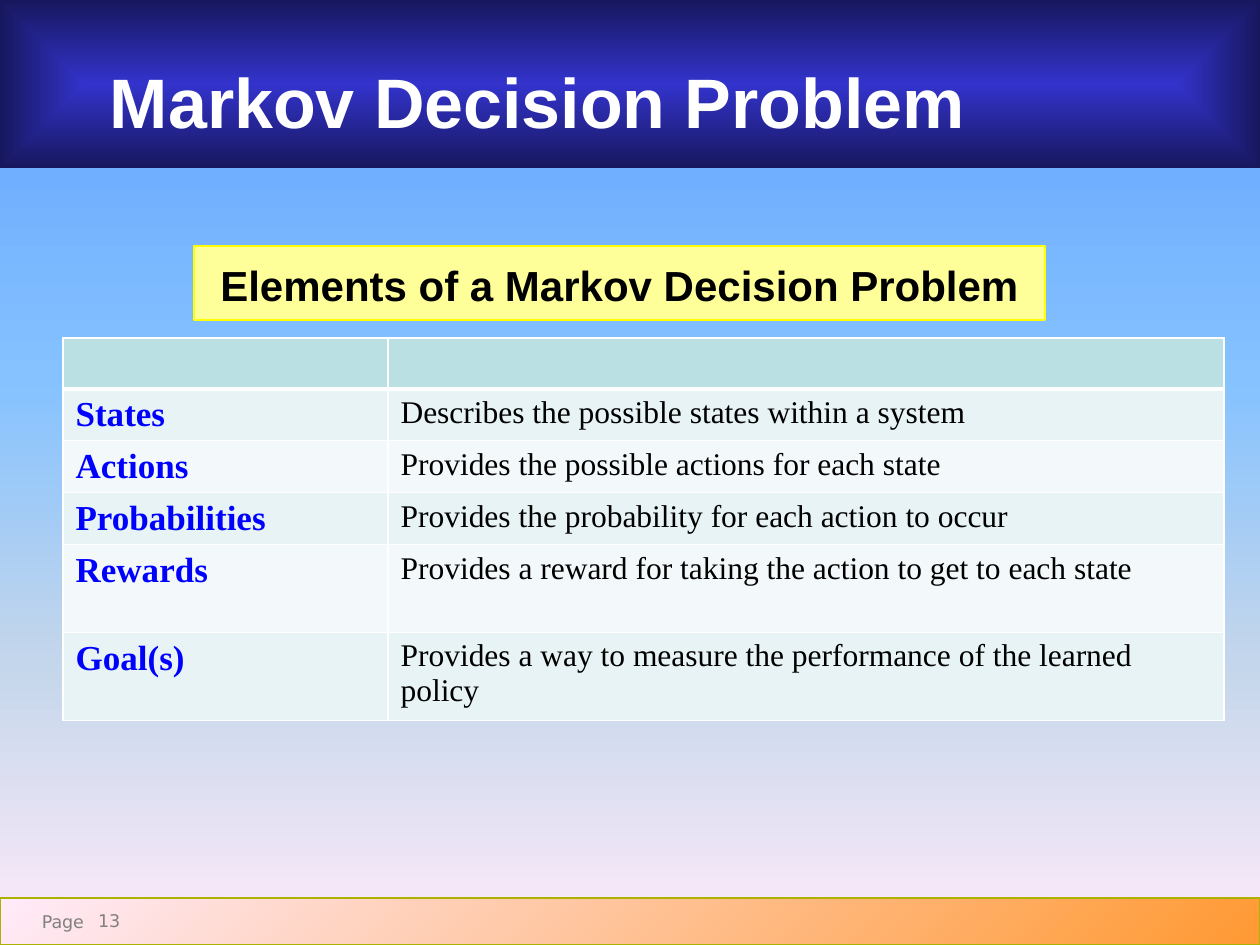
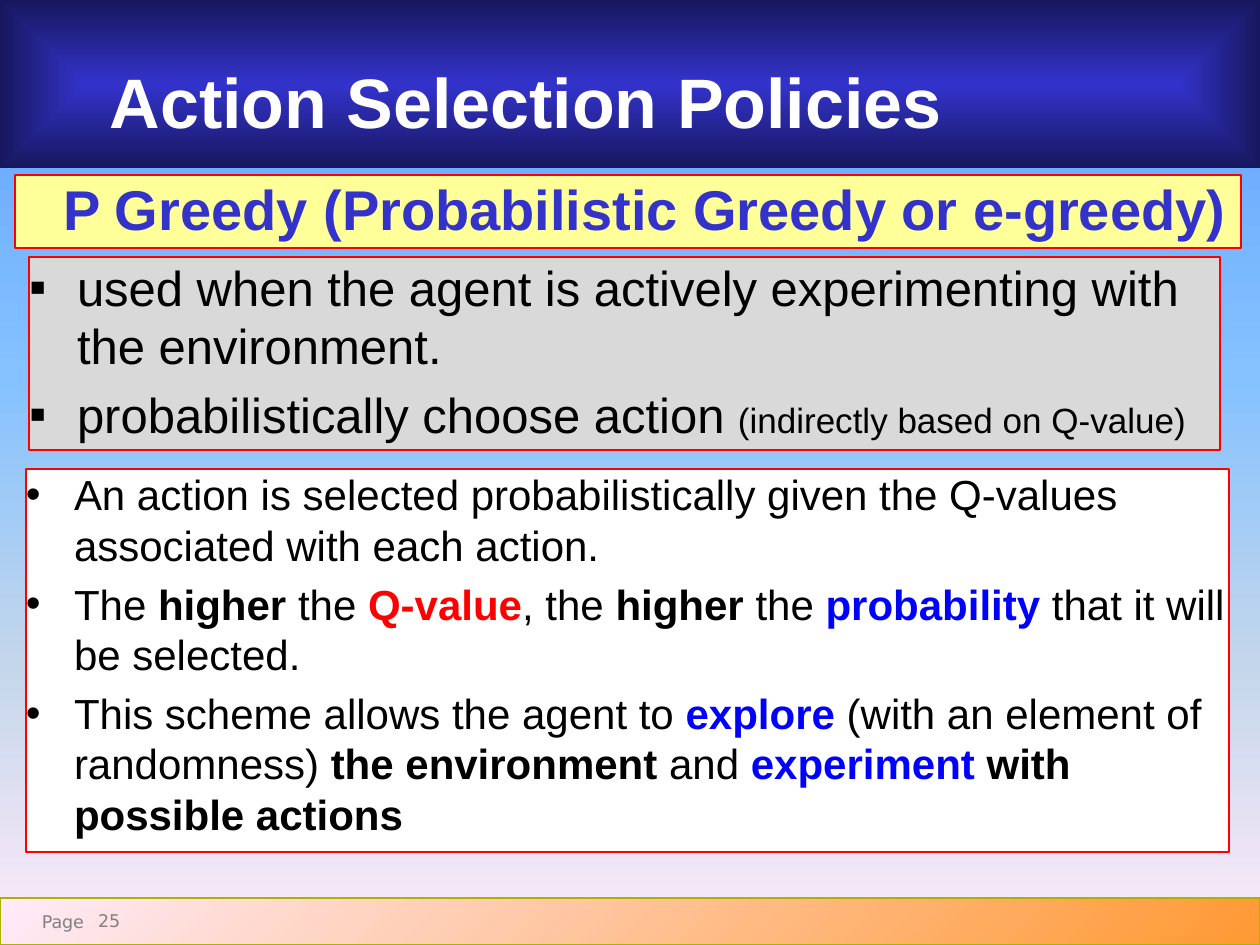
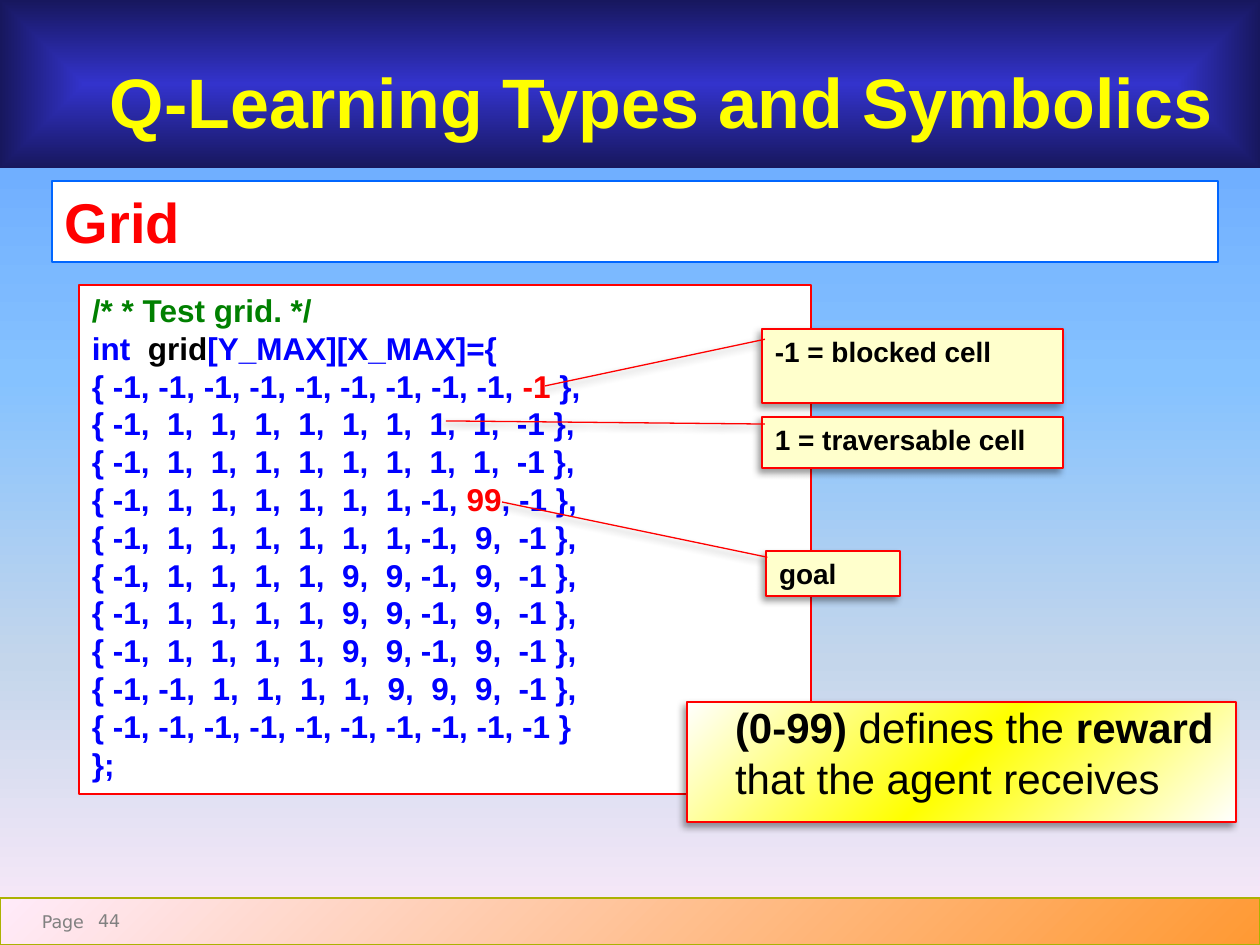
from dataclasses import dataclass

from lxml import etree
from pptx import Presentation
from pptx.dml.color import RGBColor
from pptx.enum.shapes import MSO_SHAPE
from pptx.enum.text import MSO_ANCHOR, MSO_AUTO_SIZE, PP_ALIGN
from pptx.oxml import parse_xml
from pptx.oxml.ns import nsdecls, qn
from pptx.util import Emu, Pt

SCALE = 914400 / 126  # EMU in one px


@dataclass(frozen=True)
class Theme:
    font: str = "Arial"
    table_font: str = "Times New Roman"
    footer_font: str = "DejaVu Sans"
    title: int = 40
    heading: int = 32
    lead: int = 28
    body: int = 24
    term: int = 20
    code: int = 18
    note: int = 16
    footer: int = 10
    black: str = "000000"
    white: str = "FFFFFF"
    red: str = "FF0000"
    blue: str = "0000FF"
    green: str = "008000"
    yellow: str = "FFFF00"
    indigo: str = "3333CC"
    azure: str = "0066FF"
    grey: str = "D9D9D9"
    footer_text: str = "808080"
    footer_line: str = "ABB202"
    pale_yellow: str = "FFFF99"
    cream: str = "FFFFCC"
    table_head: str = "BBE0E3"
    table_bands: tuple = ("E7F3F4", "F3F9FA")
    banner: tuple = ((0, "3333CC"), (100, "17175E"))
    sky: tuple = ((0, "5E9EFF"), (40, "85C2FF"), (70, "C4D6EB"), (100, "FFEBFA"))
    sunset: tuple = ((0, "FFEBFA"), (100, "FF9933"))
    glow: tuple = ((0, "FFFFFF"), (50, "FFFF00"), (100, "FFFFFF"))


T = Theme()
INDENT = 48
PADDING = (13, 6, 13, 6)


def px(n):
    return Emu(round(n * SCALE))


# ---- fills, lines and shadows ----
def gradient(fill, holder, stops, angle=None):
    """Give holder a linear gradient, or one from its centre if angle is None."""
    fill.solid()
    xml = "".join(
        f'<a:gs pos="{pos * 1000}"><a:srgbClr val="{color}"/></a:gs>' for pos, color in stops)
    if angle is None:
        way = ('<a:path path="shape"><a:fillToRect l="50000" t="50000" r="50000" '
               'b="50000"/></a:path>')
    else:
        way = f'<a:lin ang="{angle * 60000}" scaled="1"/>'
    new = parse_xml(f'<a:gradFill {nsdecls("a")} rotWithShape="1"><a:gsLst>{xml}</a:gsLst>'
                    f'{way}</a:gradFill>')
    holder.replace(holder.find(qn("a:solidFill")), new)


def paint(s, fill, line=None, angle=45):
    if isinstance(fill, str):
        s.fill.solid()
        s.fill.fore_color.rgb = RGBColor.from_string(fill)
    else:
        gradient(s.fill, s.element.spPr, fill, angle)
    if line:
        s.line.color.rgb = RGBColor.from_string(line)
        s.line.width = Pt(0.75)
    else:
        s.line.fill.background()


def add_shadow(s):
    s.element.spPr.remove(s.element.spPr.find(qn("a:effectLst")))
    s.element.spPr.append(parse_xml(
        f'<a:effectLst {nsdecls("a")}><a:outerShdw blurRad="50800" dist="38100" '
        'dir="8100000" algn="tr" rotWithShape="0"><a:srgbClr val="000000">'
        '<a:alpha val="40000"/></a:srgbClr></a:outerShdw></a:effectLst>'))


# ---- boxes and text ----
def place(s, box):
    for name, n in zip(("left", "top", "width", "height"), box):
        setattr(s, name, px(n))


def add_box(slide, box, fill, line, kind=MSO_SHAPE.RECTANGLE):
    s = slide.shapes.add_shape(kind, *map(px, box))
    s.shadow.inherit = False
    paint(s, fill, line)
    return s


def set_frame(tf, insets=(0, 0, 0, 0), anchor=MSO_ANCHOR.TOP, wrap=True):
    left, top, right, bottom = map(px, insets)
    values = dict(margin_left=left, margin_top=top, margin_right=right, margin_bottom=bottom,
                  vertical_anchor=anchor, word_wrap=wrap, auto_size=MSO_AUTO_SIZE.NONE)
    for name, value in values.items():
        setattr(tf, name, value)


def add_run(p, text, size, color=T.black, bold=False, font=T.font):
    r = p.add_run()
    r.text = text
    for name, value in dict(name=font, size=Pt(size), bold=bold).items():
        setattr(r.font, name, value)
    r.font.color.rgb = RGBColor.from_string(color)


def set_bullet(p, bullet, indent):
    pPr = p._p.get_or_add_pPr()
    pPr.set("marL", str(px(indent)))
    pPr.set("indent", str(px(-indent if bullet else 0)))
    if bullet:
        etree.SubElement(pPr, qn("a:buFont")).set("typeface", T.font)
        etree.SubElement(pPr, qn("a:buChar")).set("char", bullet)
    else:
        etree.SubElement(pPr, qn("a:buNone"))


def write(tf, paragraphs, size, bullet=None, indent=0, gap=0, align=PP_ALIGN.LEFT, **look):
    """Fill tf; a paragraph is a string or a list of (text, run format) pairs."""
    for i, runs in enumerate(paragraphs):
        p = tf.paragraphs[0] if i == 0 else tf.add_paragraph()
        set_bullet(p, bullet, indent)
        values = dict(alignment=align, space_before=Pt(gap if i else 0), space_after=Pt(0))
        for name, value in values.items():
            setattr(p, name, value)
        for text, own in [(runs, {})] if isinstance(runs, str) else runs:
            add_run(p, text, **{"size": size, **look, **own})


def add_label(slide, box, text, align=PP_ALIGN.LEFT):
    s = slide.shapes.add_textbox(*map(px, box))
    set_frame(s.text_frame, wrap=False)
    write(s.text_frame, [text], T.footer, align=align, color=T.footer_text, font=T.footer_font)
    return s


# ---- shared parts ----
def build_master(prs, slide):
    """Background, footer band and page label, moved from slide to the master."""
    master = prs.slide_master
    gradient(master.background.fill, master.element.find(".//" + qn("p:bgPr")), T.sky, 90)
    band = add_box(slide, (0, 898, 1260, 47), T.sunset, T.footer_line)
    label = add_label(slide, (35, 911, 49, 21), "Page", PP_ALIGN.RIGHT)
    for s in (band, label):
        master.shapes.element.append(s.element)


def add_page(prs, layout, title, number, color=T.white):
    slide = prs.slides.add_slide(prs.slide_layouts[layout])
    if len(prs.slides) == 1:
        build_master(prs, slide)
    s = slide.shapes.title
    place(s, (0, 0, 1260, 168))
    paint(s, T.banner, angle=None)
    set_frame(s.text_frame, (110, 59, 0, 0))
    write(s.text_frame, [title], T.title, color=color, bold=True)
    add_label(slide, (98, 910, 42, 29), number)
    return slide


# ---- slide 1: table ----
def add_bottom_rule(cell):
    """A heavy white line under a header cell."""
    cell._tc.get_or_add_tcPr().insert(0, parse_xml(
        f'<a:lnB {nsdecls("a")} w="38100"><a:solidFill><a:srgbClr val="{T.white}"/>'
        '</a:solidFill></a:lnB>'))


def add_elements_table(slide, box):
    rows = [
        ("States", "Describes the possible states within a system"),
        ("Actions", "Provides the possible actions for each state"),
        ("Probabilities", "Provides the probability for each action to occur"),
        ("Rewards", "Provides a reward for taking the action to get to each state"),
        ("Goal(s)", "Provides a way to measure the performance of the learned policy"),
    ]
    table = slide.shapes.add_table(len(rows) + 1, 2, *map(px, box)).table
    for column, width in zip(table.columns, (325, box[2] - 325)):
        column.width = px(width)
    for row, height in zip(table.rows, (51, 51, 52, 52, 88, 88)):
        row.height = px(height)
    looks = (dict(size=T.term, color=T.blue, bold=True), dict(size=T.code))
    for i, texts in enumerate([("", "")] + rows):
        for cell, text, look in zip(table.rows[i].cells, texts, looks):
            cell.fill.solid()
            color = T.table_bands[(i - 1) % 2] if i else T.table_head
            cell.fill.fore_color.rgb = RGBColor.from_string(color)
            if text:
                write(cell.text_frame, [text], font=T.table_font, **look)
            else:
                add_bottom_rule(cell)


def elements_slide(prs):
    slide = add_page(prs, 1, "Markov Decision Problem", "13")
    s = slide.placeholders[1]
    place(s, (194, 246, 851, 74))
    paint(s, T.pale_yellow, T.yellow)
    set_frame(s.text_frame, (0, 4, 0, 0), MSO_ANCHOR.MIDDLE)
    write(s.text_frame, ["Elements of a Markov Decision Problem"], T.body,
          align=PP_ALIGN.CENTER, bold=True)
    add_elements_table(slide, (63, 338, 1161, 382))


# ---- slide 2: lists ----
def fill_list(s, paragraphs, size, bullet):
    set_frame(s.text_frame)
    write(s.text_frame, paragraphs, size, bullet, INDENT, gap=size * 0.2)


def policies_slide(prs):
    slide = add_page(prs, 1, "Action Selection Policies", "25")
    strong = dict(bold=True)
    blue = dict(bold=True, color=T.blue)
    red = dict(bold=True, color=T.red)

    # Explanation
    s = slide.placeholders[1]
    place(s, (26, 469, 1203, 383))
    paint(s, T.white, T.red)
    fill_list(s, [
        "An action is selected probabilistically given the Q-values associated with each action.",
        [("The ", {}), ("higher", strong), (" the ", {}), ("Q-value", red), (", the ", {}),
         ("higher", strong), (" the ", {}), ("probability", blue),
         (" that it will be selected.", {})],
        [("This scheme allows the agent to ", {}), ("explore ", blue),
         ("(with an element of randomness) ", {}), ("the environment ", strong), ("and ", {}),
         ("experiment ", blue), ("with possible actions", strong)],
    ], T.body, "•")

    # Policy name
    s = add_box(slide, (15, 175, 1226, 73), T.pale_yellow, T.red)
    set_frame(s.text_frame)
    write(s.text_frame, ["P Greedy (Probabilistic Greedy or e-greedy)"], T.heading,
          indent=INDENT, color=T.indigo, bold=True)

    # When it is used
    s = add_box(slide, (29, 257, 1191, 193), T.grey, T.red)
    fill_list(s, [
        "used when the agent is actively experimenting with the environment.",
        [("probabilistically choose action ", {}),
         ("(indirectly based on Q-value)", dict(size=T.term))],
    ], T.lead, "▪")


# ---- slide 3: code with callouts ----
def add_code(slide, box):
    red = dict(color=T.red)
    lines = [
        [("/* * Test grid. */", dict(color=T.green))],
        [("int  ", {}), ("grid", dict(color=T.black)), ("[Y_MAX][X_MAX]={", {})],
        [("{ -1, -1, -1, -1, -1, -1, -1, -1, -1, ", {}), ("-1", red), (" },", {})],
        *["{ -1,  1,  1,  1,  1,  1,  1,  1,  1,  -1 },"] * 2,
        [("{ -1,  1,  1,  1,  1,  1,  1, -1, ", {}), ("99", red), (", -1 },", {})],
        "{ -1,  1,  1,  1,  1,  1,  1, -1,  9,  -1 },",
        *["{ -1,  1,  1,  1,  1,  9,  9, -1,  9,  -1 },"] * 3,
        "{ -1, -1,  1,  1,  1,  1,  9,  9,  9,  -1 },",
        "{ -1, -1, -1, -1, -1, -1, -1, -1, -1, -1 }",
        "};",
    ]
    s = add_box(slide, box, T.white, T.red)
    set_frame(s.text_frame, PADDING)
    write(s.text_frame, lines, T.code, color=T.blue, bold=True)


def add_callout(slide, box, text, target):
    """A note whose line runs from its top left to the target point."""
    left, top, width, height = box
    s = add_box(slide, box, T.cream, T.red, MSO_SHAPE.LINE_CALLOUT_1)
    ends = (0.14, 0.01, (target[1] - top) / height, (target[0] - left) / width)
    for i, value in enumerate(ends):
        s.adjustments[i] = value
    add_shadow(s)
    set_frame(s.text_frame, PADDING)
    write(s.text_frame, [text], T.note, bold=True)


def grid_slide(prs):
    slide = add_page(prs, 5, "Q-Learning Types and Symbolics", "44", T.yellow)
    s = add_box(slide, (52, 181, 1166, 81), T.white, T.azure)
    set_frame(s.text_frame, PADDING)
    write(s.text_frame, ["Grid"], T.heading, color=T.red, bold=True)

    add_code(slide, (79, 285, 732, 509))
    add_callout(slide, (762, 329, 301, 74), "-1 = blocked cell", (545, 386))
    add_callout(slide, (766, 551, 134, 45), "goal", (502, 502))

    # Reward
    s = add_box(slide, (687, 702, 549, 120), T.glow, T.red)
    add_shadow(s)
    set_frame(s.text_frame)
    write(s.text_frame, [[("(0-99) ", dict(bold=True)), ("defines the ", {}),
                          ("reward", dict(bold=True)), (" that the agent receives", {})]],
          T.body, indent=INDENT)

    add_callout(slide, (762, 417, 301, 51), "1 = traversable cell", (446, 421))


def main():
    prs = Presentation()
    prs.slide_width, prs.slide_height = px(1260), px(945)
    for build in (elements_slide, policies_slide, grid_slide):
        build(prs)
    prs.save("out.pptx")


if __name__ == "__main__":
    main()
